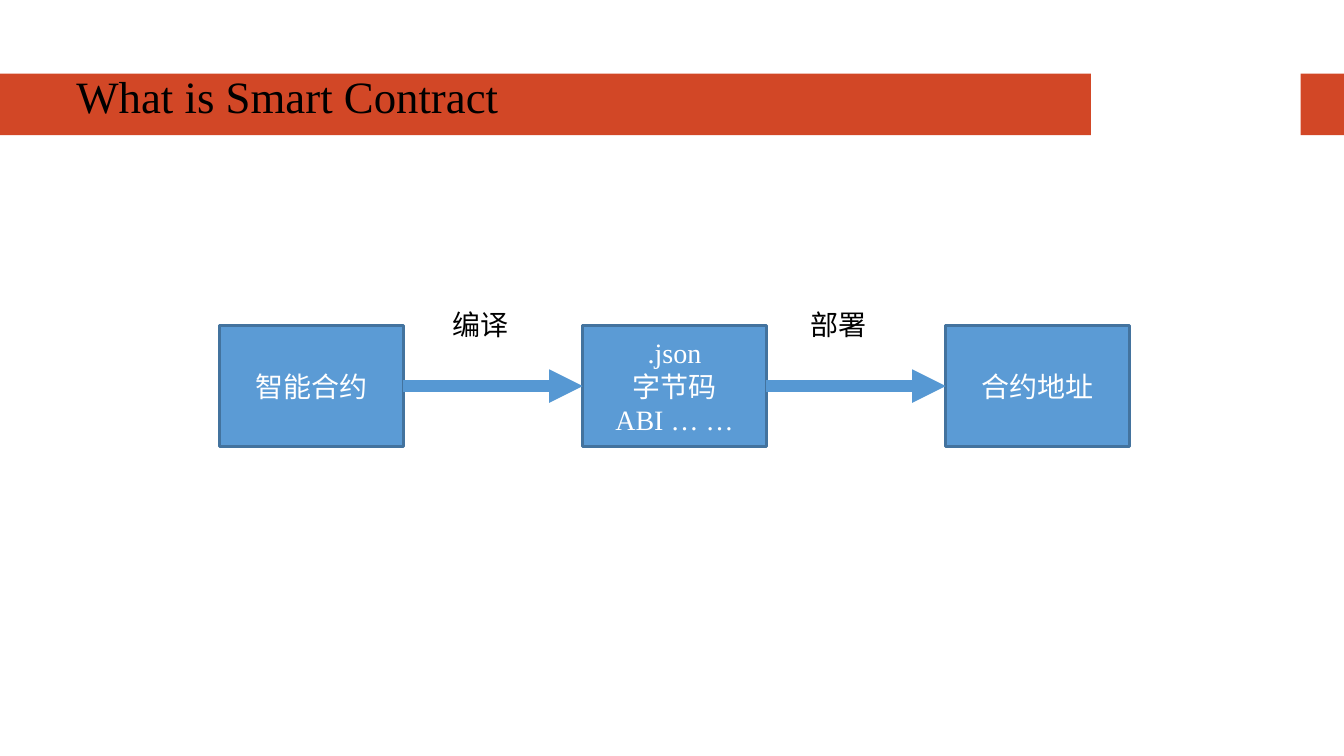
import pptx
import pptx.dml.color
import pptx.enum.shapes
import pptx.enum.text
import pptx.oxml
import pptx.oxml.ns
import pptx.util
from pptx.util import Inches

COLORS = {
    "band": "D24726",
    "box": "5B9BD5",
    "box_line": "43739E",
    "arrow": "5698D3",
    "black": "000000",
    "white": "FFFFFF",
}
FONT = "Times New Roman"
RECTANGLE = pptx.enum.shapes.MSO_SHAPE.RECTANGLE
ANCHOR = pptx.enum.text.MSO_ANCHOR
ALIGN = pptx.enum.text.PP_ALIGN


def add_rectangle(left, top, width, height, color):
    shape = slide.shapes.add_shape(
        RECTANGLE, Inches(left), Inches(top), Inches(width), Inches(height))
    shape.shadow.inherit = False
    shape.fill.solid()
    shape.fill.fore_color.rgb = pptx.dml.color.RGBColor.from_string(COLORS[color])
    shape.line.fill.background()
    return shape


def write_lines(shape, lines, size, color, align, anchor):
    """Fill the shape with one paragraph per line."""
    frame = shape.text_frame
    frame.word_wrap = True
    frame.vertical_anchor = anchor
    for index, line in enumerate(lines):
        paragraph = frame.add_paragraph() if index else frame.paragraphs[0]
        paragraph.alignment = align
        run = paragraph.add_run()
        run.text = line
        run.font.name = FONT
        run.font.size = pptx.util.Pt(size)
        run.font.color.rgb = pptx.dml.color.RGBColor.from_string(COLORS[color])


presentation = pptx.Presentation()
presentation.slide_width = Inches(13.33)
presentation.slide_height = Inches(7.5)
slide = presentation.slides.add_slide(presentation.slide_layouts[6])

# Title on its broken band
for left, width in [(0, 10.82), (12.9, 0.43)]:
    add_rectangle(left, 0.73, width, 0.61, "band")

title = slide.shapes.add_textbox(
    Inches(0.66), Inches(0.71), Inches(11.76), Inches(0.61))
title.text_frame.margin_top = title.text_frame.margin_bottom = Inches(0.1)
write_lines(title, ["What is Smart Contract"], 32, "black", ALIGN.LEFT, ANCHOR.BOTTOM)

# Stages of a contract, evenly spaced
stages = [["智能合约"], [".json", "字节码", "ABI … …"], ["合约地址"]]
boxes = []
for index, lines in enumerate(stages):
    box = add_rectangle(2.18 + 3.6 * index, 3.23, 1.82, 1.2, "box")
    box.line.color.rgb = pptx.dml.color.RGBColor.from_string(COLORS["box_line"])
    box.line.width = pptx.util.Pt(2)
    write_lines(box, lines, 20, "white", ALIGN.CENTER, ANCHOR.MIDDLE)
    boxes.append(box)

# Labelled arrows between neighbouring stages
steps = [("编译", 4.39), ("部署", 7.94)]
for source, target, (step, left) in zip(boxes, boxes[1:], steps):
    arrow = slide.shapes.add_connector(
        pptx.enum.shapes.MSO_CONNECTOR.STRAIGHT, 0, 0, 0, 0)
    arrow.begin_connect(source, 3)
    arrow.end_connect(target, 1)
    arrow.line.width = pptx.util.Pt(8)
    arrow.line.color.rgb = pptx.dml.color.RGBColor.from_string(COLORS["arrow"])
    namespace = pptx.oxml.ns.nsdecls("a")
    arrow.line._get_or_add_ln().append(
        pptx.oxml.parse_xml(f'<a:tailEnd {namespace} type="triangle"/>'))
    arrow._element.spPr.append(pptx.oxml.parse_xml(f"<a:effectLst {namespace}/>"))

    label = slide.shapes.add_textbox(
        Inches(left), Inches(3), Inches(1.08), Inches(0.44))
    write_lines(label, [step], 20, "black", ALIGN.LEFT, ANCHOR.TOP)

presentation.save("out.pptx")
